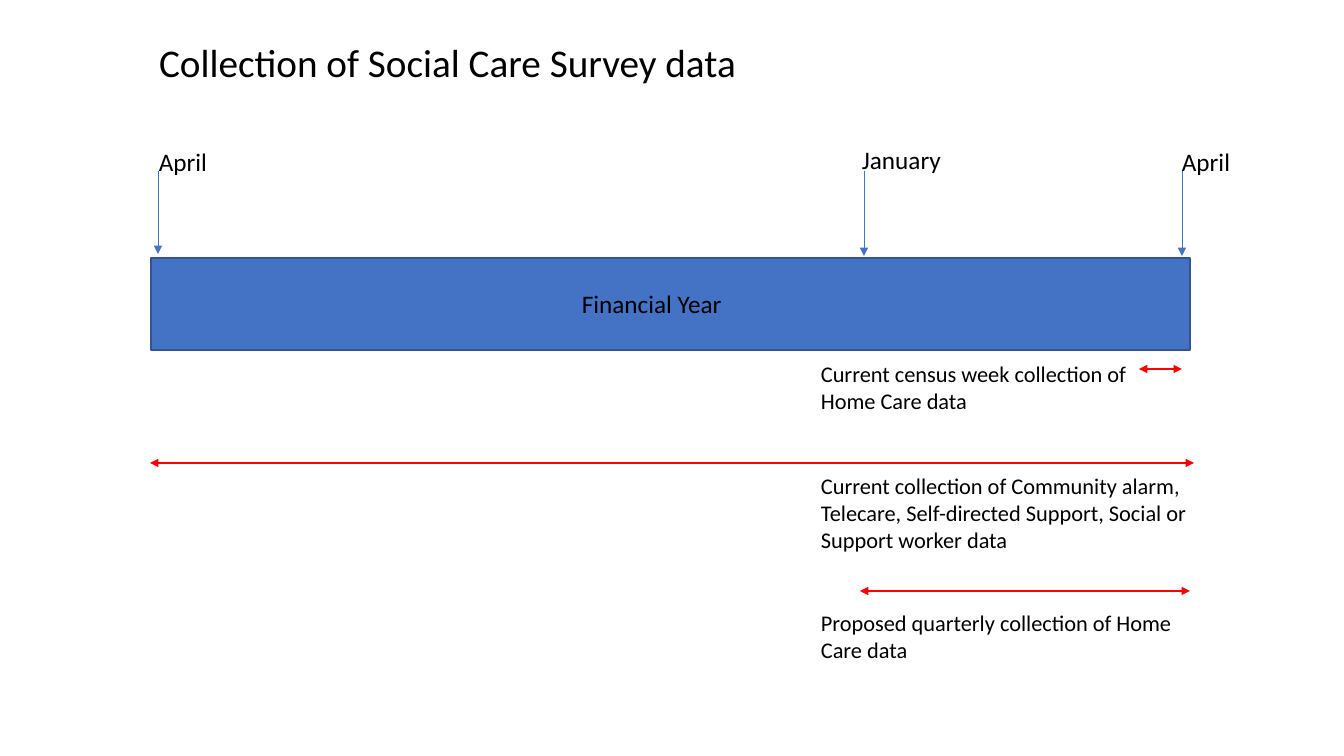
"""Draw the timeline of social care survey data collection."""
from lxml.etree import SubElement
from pptx import Presentation
from pptx.dml.color import RGBColor
from pptx.enum.shapes import MSO_CONNECTOR, MSO_SHAPE
from pptx.enum.text import MSO_ANCHOR, MSO_AUTO_SIZE, PP_ALIGN
from pptx.oxml.ns import qn
from pptx.util import Inches, Pt

BLACK = RGBColor(0x00, 0x00, 0x00)
BLUE = RGBColor(0x44, 0x72, 0xC4)
NAVY = RGBColor(0x32, 0x54, 0x91)
RED = RGBColor(0xFF, 0x00, 0x00)
SCALE = Inches(1) / 100.8


def emu(*sizes):
    return [round(size * SCALE) for size in sizes]


class Board:
    def __init__(self, deck):
        self.font = "Calibri"
        self.slide = deck.slides.add_slide(deck.slide_layouts[5])
        self.shapes = self.slide.shapes

    def letter(self, frame, lines, size, wrap=True):
        frame.text = "\n".join(lines)
        frame.word_wrap = wrap
        frame.auto_size = MSO_AUTO_SIZE.NONE
        frame.vertical_anchor = MSO_ANCHOR.TOP
        for para in frame.paragraphs:
            para.alignment = PP_ALIGN.LEFT
            para.font.name = self.font
            para.font.size = Pt(size)
            para.font.color.rgb = BLACK

    def title(self, box, text):
        shape = self.shapes.title
        shape.left, shape.top, shape.width, shape.height = emu(*box)
        self.letter(shape.text_frame, [text], 28)

    def text(self, box, lines, size, wrap=True):
        shape = self.shapes.add_textbox(*emu(*box))
        self.letter(shape.text_frame, lines, size, wrap)

    def bar(self, box):
        shape = self.shapes.add_shape(MSO_SHAPE.RECTANGLE, *emu(*box))
        shape.shadow.inherit = False
        shape.fill.solid()
        shape.fill.fore_color.rgb = BLUE
        shape.line.color.rgb = NAVY
        shape.line.width = Pt(1)

    def arrow(self, ends, color, width, tips):
        link = self.shapes.add_connector(MSO_CONNECTOR.STRAIGHT, *emu(*ends))
        link.line.color.rgb = color
        link.line.width = Pt(width)
        props = link._element.spPr
        for tip in tips:
            SubElement(props.find(qn("a:ln")), qn(tip), type="triangle")
        SubElement(props, qn("a:effectLst"))


deck = Presentation()
deck.slide_width, deck.slide_height = emu(1344, 756)
board = Board(deck)

board.title((149, 33, 1038, 57), "Collection of Social Care Survey data")
board.bar((151, 258, 1039, 92))
board.text((572, 283, 167, 40), ["Financial Year"], 18)

MONTHS = [
    ("April", 158, 254, (149, 141, 80, 40)),
    ("January", 864, 256, (852, 139, 104, 40)),
    ("April", 1182, 256, (1172, 141, 93, 40)),
]
for month, x, end, box in MONTHS:
    board.arrow((x, 171, x, end), BLUE, 0.5, ["a:tailEnd"])
    board.text(box, [month], 18)

SPANS = [
    (1139, 1182, 369, 1.25),
    (150, 1194, 463, 1),
    (860, 1190, 591, 1),
]
for left, right, y, width in SPANS:
    board.arrow((left, y, right, y), RED, width, ["a:headEnd", "a:tailEnd"])

NOTES = [
    ((811, 355, 337, 65), False,
     ["Current census week collection of", "Home Care data"]),
    ((811, 467, 391, 92), False,
     ["Current collection of Community alarm,",
      "Telecare, Self-directed Support, Social or",
      "Support worker data"]),
    ((811, 604, 381, 65), True,
     ["Proposed quarterly collection of Home Care data"]),
]
for box, wrap, lines in NOTES:
    board.text(box, lines, 16, wrap)

deck.save("out.pptx")
